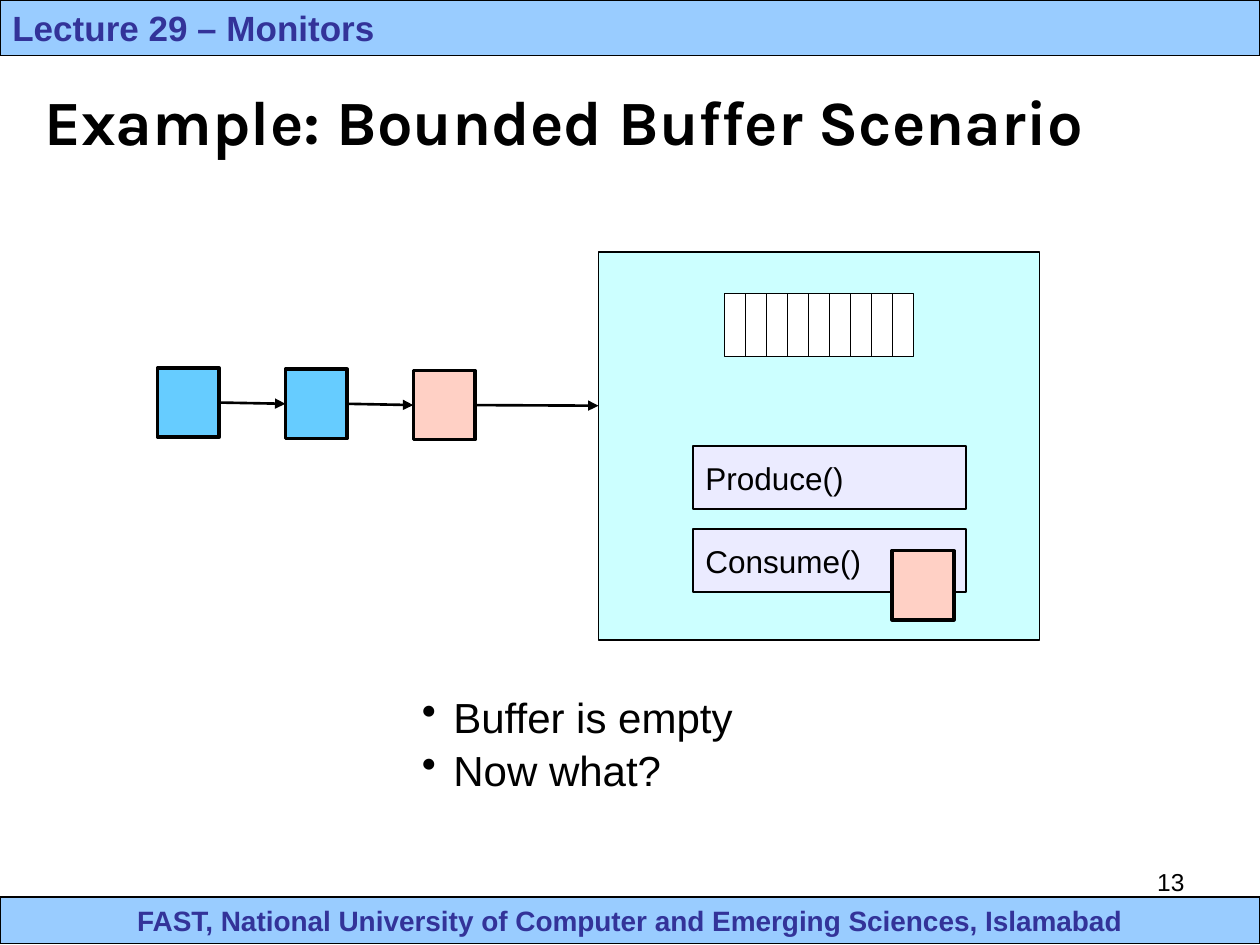
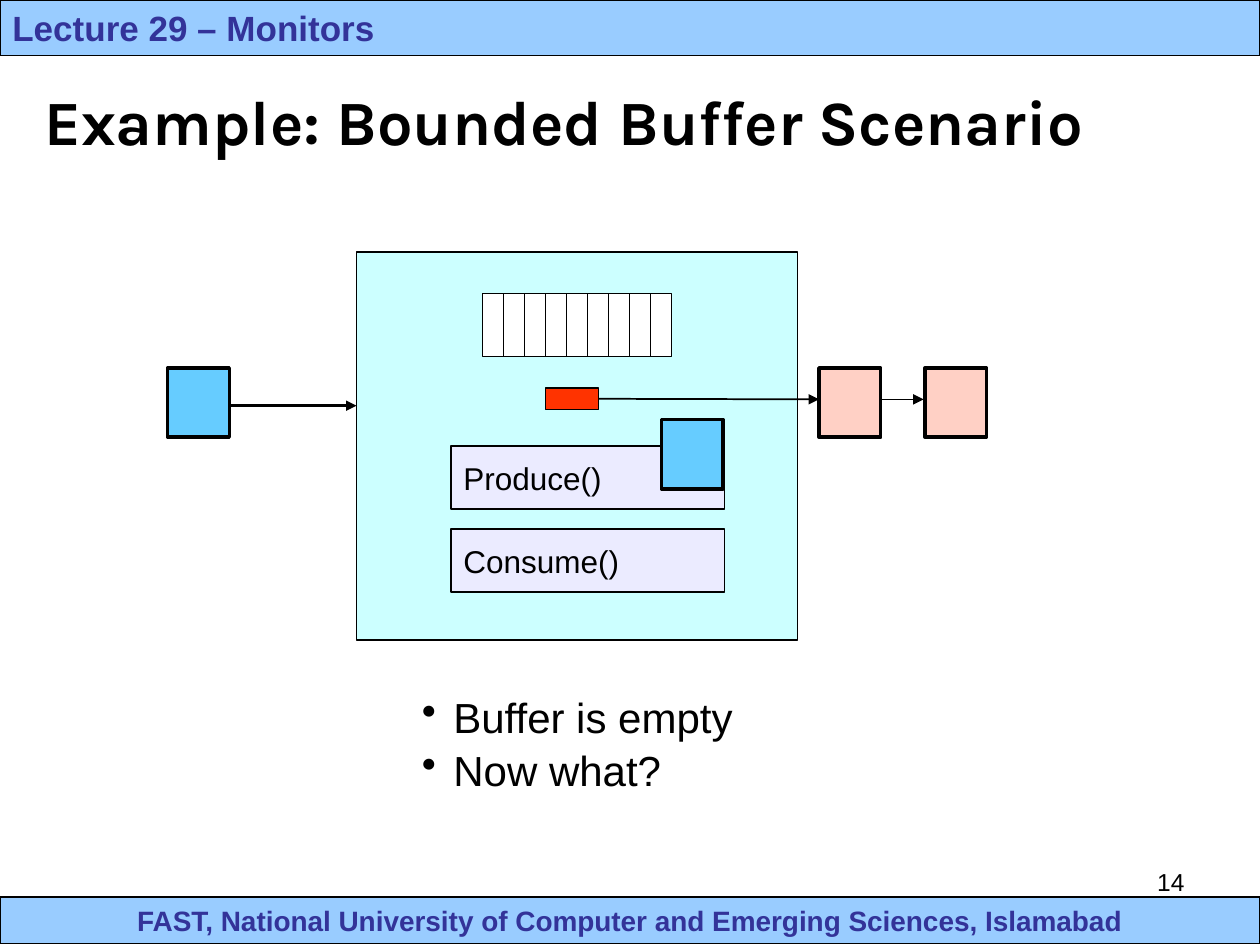
from lxml import etree
from pptx import Presentation
from pptx.dml.color import RGBColor
from pptx.enum.shapes import MSO_CONNECTOR as Link, MSO_SHAPE as Shape
from pptx.enum.text import MSO_ANCHOR as Anchor, MSO_AUTO_SIZE as Fit, PP_ALIGN as Align
from pptx.oxml.ns import qn
from pptx.util import Inches, Pt

HUES = {
    "ink": "000000", "paper": "FFFFFF", "band": "99CCFF", "navy": "333399",
    "room": "CCFFFF", "call": "EBEBFF", "maker": "66CCFF", "taker": "FFD0C5",
    "signal": "FF3300",
}
TITLE_ONLY = 5
LEFT, RIGHT = 1, 3
THREAD = (0.49, 0.55)


def hue(name):
    return RGBColor.from_string(HUES[name])


class Deck:
    def __init__(self):
        self.prs = Presentation()
        self.prs.slide_width, self.prs.slide_height = Inches(10), Inches(7.5)
        self.layout = self.prs.slide_layouts[TITLE_ONLY]
        self.slide = None
        self.banded = False

    def page(self, title, number):
        self.slide = self.prs.slides.add_slide(self.layout)
        if not self.banded:
            self.bands()
        head = self.slide.shapes.title
        head.left, head.top = Inches(0.25), Inches(0.58)
        head.width, head.height = Inches(9), Inches(0.75)
        self.fill(head, [title], 36, font="Karla", bold=True)
        self.text([str(number)], 7.17, 6.83, 2.33, 0.52, 14, align=Align.RIGHT)

    def bands(self):
        """Place the header and footer bands on the shared layout."""
        tree = self.layout.element.cSld.spTree
        for y, high, words, size, align in (
            (0, 0.44, "Lecture 29 – Monitors", 20, Align.LEFT),
            (7.12, 0.37, "FAST, National University of Computer and Emerging "
             "Sciences, Islamabad", 16, Align.CENTER),
        ):
            band = self.box(0, y, 10, high, "band", 0.75)
            self.fill(band, [words], size, "navy", bold=True, align=align)
            tree.append(band.element)
        self.banded = True

    def fill(self, shape, lines, size, ink="ink", font="Arial", bold=False,
             align=Align.LEFT, anchor=Anchor.MIDDLE, bullet=False):
        """Set the shape's text, one paragraph a line."""
        frame = shape.text_frame
        frame.word_wrap, frame.auto_size = True, Fit.NONE
        frame.vertical_anchor = anchor
        for i, line in enumerate(lines):
            para = frame.add_paragraph() if i else frame.paragraphs[0]
            para.alignment = align
            if bullet:
                para.line_spacing = 1.05
                props = para._p.get_or_add_pPr()
                props.set("marL", str(Inches(0.25)))
                props.set("indent", str(Inches(-0.25)))
                etree.SubElement(props, qn("a:buChar")).set("char", "•")
            run = para.add_run()
            run.text = line
            run.font.name, run.font.size, run.font.bold = font, Pt(size), bold
            run.font.color.rgb = hue(ink)

    def text(self, lines, x, y, wide, high, size, **style):
        area = self.slide.shapes.add_textbox(
            Inches(x), Inches(y), Inches(wide), Inches(high))
        self.fill(area, lines, size, anchor=Anchor.TOP, **style)

    def box(self, x, y, wide, high, fill, weight=1, group=None):
        shape = (group or self.slide).shapes.add_shape(
            Shape.RECTANGLE, Inches(x), Inches(y), Inches(wide), Inches(high))
        shape.shadow.inherit = False
        shape.fill.solid()
        shape.fill.fore_color.rgb = hue(fill)
        shape.line.color.rgb = hue("ink")
        shape.line.width = Pt(weight)
        return shape

    def thread(self, x, y, kind):
        return self.box(x, y, *THREAD, kind, 2)

    def line(self, start, end, weight=1, group=None):
        link = (group or self.slide).shapes.add_connector(
            Link.STRAIGHT, *map(Inches, start + end))
        link.line.color.rgb = hue("ink")
        link.line.width = Pt(weight)
        etree.SubElement(link.element.spPr, qn("a:effectLst"))
        return link

    def arrow(self, start, end, weight=1.5, source=None, target=None):
        """Draw an arrow, joined to the source's right and target's left."""
        link = self.line(start, end, weight)
        stroke = link.element.spPr.find(qn("a:ln"))
        etree.SubElement(stroke, qn("a:tailEnd")).set("type", "triangle")
        if source:
            link.begin_connect(source, RIGHT)
        if target:
            link.end_connect(target, LEFT)

    def monitor(self, x):
        """Draw the monitor with its two procedures and its buffer."""
        self.box(x, 2, 3.5, 3.08, "room")
        for i, name in enumerate(("Produce()", "Consume()")):
            call = self.box(x + 0.75, 3.54 + i * 0.66, 2.17, 0.5, "call")
            self.fill(call, [name], 18)
        group = self.slide.shapes.add_group_shape()
        wide, slots = 1.5, 9
        self.box(x + 1, 2.33, wide, 0.5, "paper", group=group)
        for i in range(1, slots):
            edge = x + 1 + i * wide / slots
            self.line((edge, 2.33), (edge, 2.83), group=group)

    def notes(self, lines):
        self.text(lines, 3.25, 5.42, 3, 0.9, 24, bullet=True)


def main():
    deck = Deck()
    title = "Example: Bounded Buffer Scenario"
    state = ["Buffer is empty", "Now what?"]

    deck.page(title, 13)
    deck.monitor(4.75)
    first, second, third = [
        deck.thread(1.25 + i * 1.015, 2.92 + i * 0.01, kind)
        for i, kind in enumerate(("maker", "maker", "taker"))]
    deck.arrow((1.74, 3.2), (2.27, 3.2), source=first, target=second)
    deck.arrow((2.76, 3.2), (3.28, 3.2), source=second, target=third)
    deck.arrow((3.77, 3.22), (4.75, 3.22), source=third)
    deck.thread(7.08, 4.37, "taker")
    deck.notes(state)

    deck.page(title, 14)
    deck.monitor(2.83)
    deck.arrow((1.83, 3.22), (2.83, 3.22))
    for x, y, kind in ((1.33, 2.92, "maker"), (5.25, 3.33, "maker"),
                       (6.5, 2.92, "taker"), (7.34, 2.92, "taker")):
        deck.thread(x, y, kind)
    deck.notes(state)
    signal = deck.box(4.33, 3.08, 0.42, 0.17, "signal")
    deck.arrow((4.75, 3.17), (6.5, 3.17), 1, source=signal)
    deck.arrow((7, 3.17), (7.33, 3.17), 1)

    deck.prs.save("out.pptx")


if __name__ == "__main__":
    main()
